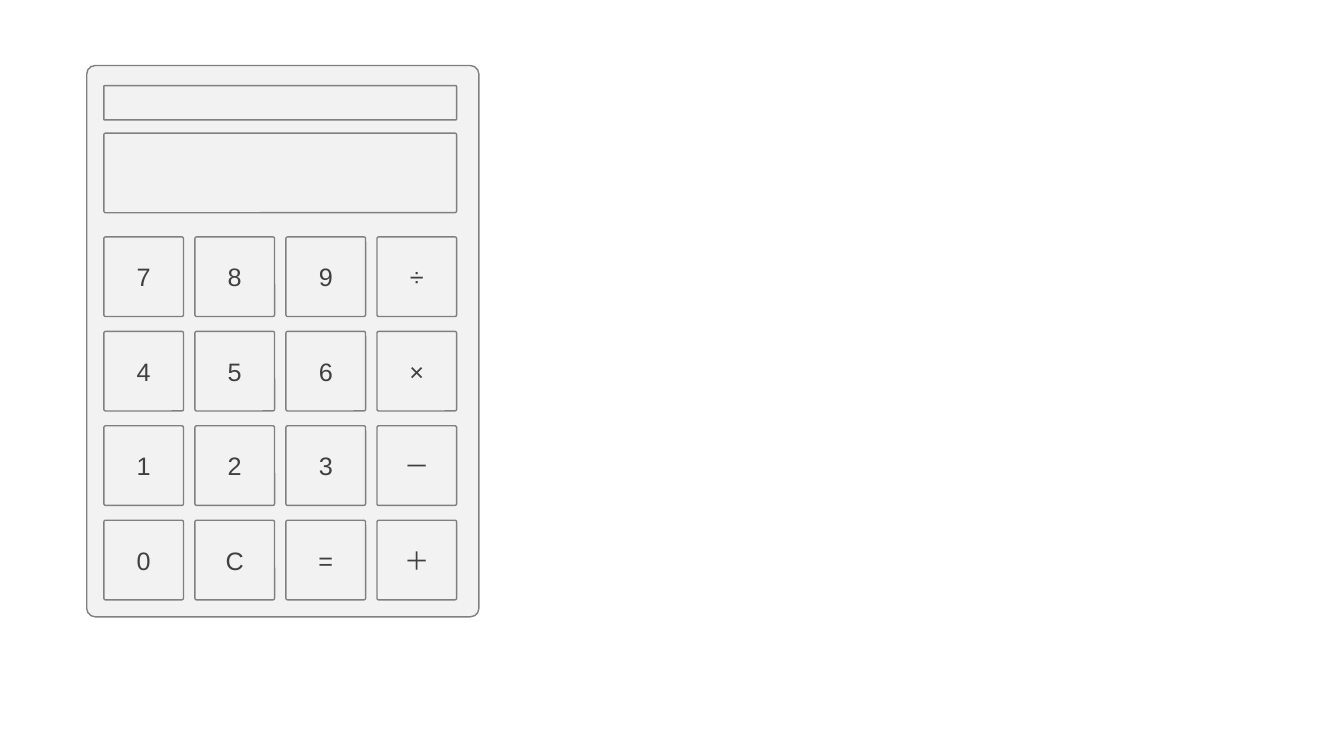
from pptx import Presentation
from pptx.dml.color import RGBColor
from pptx.enum.shapes import MSO_SHAPE as SHAPE
from pptx.enum.text import MSO_ANCHOR as ANCHOR, PP_ALIGN as ALIGN
from pptx.util import Inches, Pt

PANEL = RGBColor(0xF2, 0xF2, 0xF2)
EDGE = RGBColor(0x80, 0x80, 0x80)
INK = RGBColor(0x40, 0x40, 0x40)

LEFT, KEYS_TOP = 1.03, 2.35
KEY = 0.79
COL_STEP, ROW_STEP = 0.903, 0.937
DISPLAY_W = 3 * COL_STEP + KEY
KEY_ROWS = ["789÷", "456×", "123－", "0C=＋"]

prs = Presentation()
prs.slide_width, prs.slide_height = Inches(13.33), Inches(7.5)
s = prs.slides.add_slide(prs.slide_layouts[6])


def add_panel(x, y, w, h):
    sp = s.shapes.add_shape(SHAPE.ROUNDED_RECTANGLE, Inches(x), Inches(y), Inches(w), Inches(h))
    sp.adjustments[0] = 0.022
    sp.shadow.inherit = False
    sp.fill.solid()
    sp.fill.fore_color.rgb = PANEL
    sp.line.color.rgb = EDGE
    sp.line.width = Pt(1)
    return sp


add_panel(0.86, 0.65, 3.89, 5.47)

for row, labels in enumerate(KEY_ROWS):
    for col, label in enumerate(labels):
        sp = add_panel(LEFT + col * COL_STEP, KEYS_TOP + row * ROW_STEP, KEY, KEY)
        tf = sp.text_frame
        tf.vertical_anchor = ANCHOR.MIDDLE
        p = tf.paragraphs[0]
        p.alignment = ALIGN.CENTER
        r = p.add_run()
        r.text = label
        r.font.name = "Arial"
        r.font.size = Pt(18)
        r.font.color.rgb = INK

for top, height in [(1.32, KEY), (0.85, 0.34)]:
    add_panel(LEFT, top, DISPLAY_W, height)

prs.save("out.pptx")
